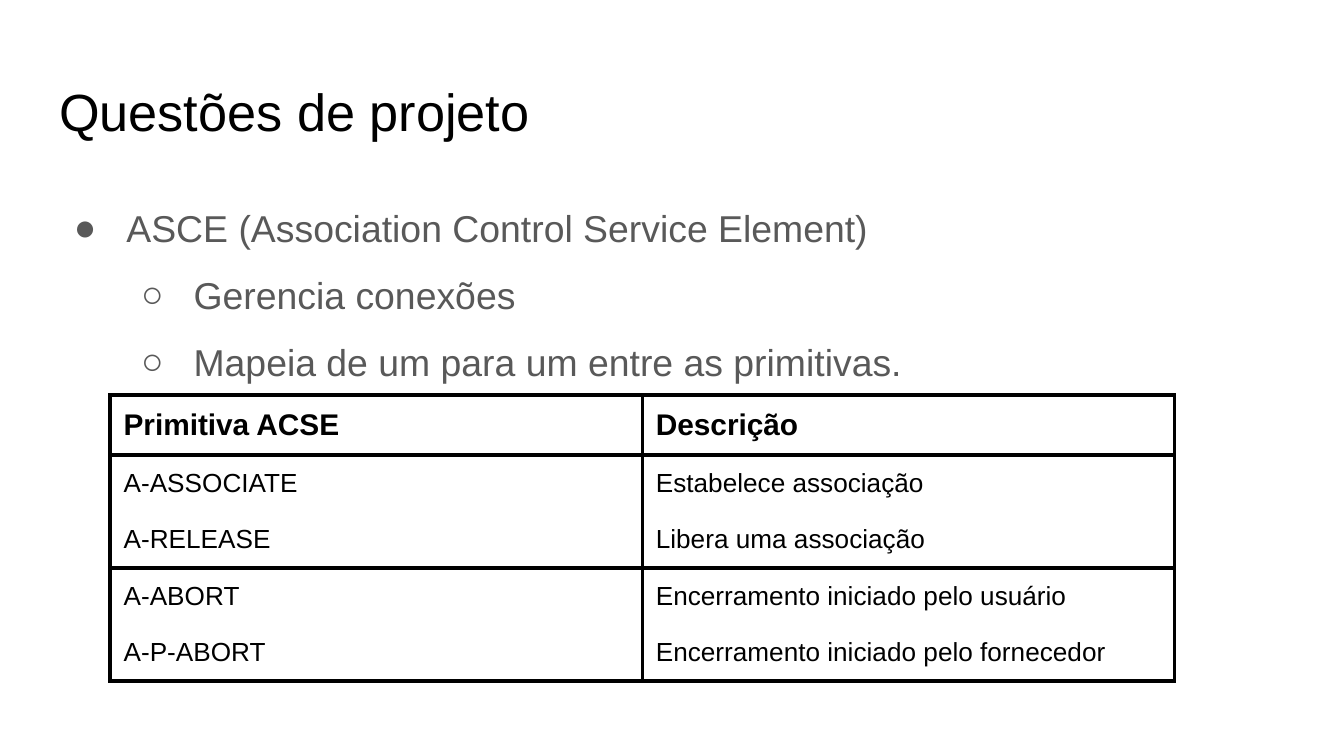
"""Build the slide on ACSE design questions."""
import dataclasses

import lxml.etree
import pptx
import pptx.dml.color
import pptx.enum.text
import pptx.oxml.ns
import pptx.util

Inches = pptx.util.Inches
Pt = pptx.util.Pt
qn = pptx.oxml.ns.qn


@dataclasses.dataclass(frozen=True)
class Theme:
    """Colours, type sizes and line widths of the slide."""
    font: str = "Arial"
    ink: str = "000000"
    muted: str = "595959"
    paper: str = "FFFFFF"
    title_size: float = 28
    body_size: float = 20
    header_size: float = 16
    cell_size: float = 14
    border: float = 2.25
    inset: float = 0.1


THEME = Theme()

TOPICS = [
    (0, "ASCE (Association Control Service Element)"),
    (1, "Gerencia conexões"),
    (1, "Mapeia de um para um entre as primitivas."),
]
BULLETS = "●○"

PRIMITIVES = [
    ("Primitiva ACSE", "Descrição"),
    ("A-ASSOCIATE", "Estabelece associação"),
    ("A-RELEASE", "Libera uma associação"),
    ("A-ABORT", "Encerramento iniciado pelo usuário"),
    ("A-P-ABORT", "Encerramento iniciado pelo fornecedor"),
]
RULED_BELOW = {0, 2, 4}


def style(paragraph, size, color, bold=False):
    """Set the font of a whole paragraph."""
    font = paragraph.font
    font.name, font.size, font.bold = THEME.font, Pt(size), bold
    font.color.rgb = pptx.dml.color.RGBColor.from_string(color)


def set_insets(holder):
    """Give a text frame or cell equal margins and top anchoring."""
    holder.margin_left = holder.margin_right = Inches(THEME.inset)
    holder.margin_top = holder.margin_bottom = Inches(THEME.inset)
    holder.vertical_anchor = pptx.enum.text.MSO_ANCHOR.TOP


def place(placeholder, box):
    """Move a placeholder into its box and return its text frame."""
    placeholder.left, placeholder.top, placeholder.width, placeholder.height = map(Inches, box)
    frame = placeholder.text_frame
    frame.word_wrap = True
    frame.auto_size = pptx.enum.text.MSO_AUTO_SIZE.NONE
    set_insets(frame)
    return frame


def add_title(slide, box, text):
    """Fill the title placeholder."""
    frame = place(slide.shapes.title, box)
    frame.text = text
    heading = frame.paragraphs[0]
    heading.alignment = pptx.enum.text.PP_ALIGN.LEFT
    style(heading, THEME.title_size, THEME.ink)


def add_bullet(paragraph, level):
    """Give a paragraph the hanging bullet of its level."""
    properties = paragraph._p.get_or_add_pPr()
    properties.set("marL", str(Inches(0.5 * (level + 1))))
    properties.set("indent", str(Inches(-0.39)))
    color = lxml.etree.SubElement(properties, qn("a:buClr"))
    lxml.etree.SubElement(color, qn("a:srgbClr"), val=THEME.muted)
    lxml.etree.SubElement(properties, qn("a:buFont"), typeface=THEME.font)
    lxml.etree.SubElement(properties, qn("a:buChar"), char=BULLETS[level])


def add_topics(slide, box, topics):
    """Fill the body placeholder with the two-level list."""
    frame = place(slide.placeholders[1], box)
    frame.text = "\n".join(text for _, text in topics)
    for topic, (level, _) in zip(frame.paragraphs, topics):
        topic.level = level
        topic.line_spacing = 1.5
        topic.space_before = topic.space_after = Pt(0)
        add_bullet(topic, level)
        style(topic, THEME.body_size, THEME.muted)


def set_borders(cell, top, bottom):
    """Rule both sides of a cell, and its top and bottom where asked."""
    properties = cell._tc.get_or_add_tcPr()
    edges = {"a:lnL": True, "a:lnR": True, "a:lnT": top, "a:lnB": bottom}
    for position, (tag, ruled) in enumerate(edges.items()):
        line = lxml.etree.Element(qn(tag), w=str(Pt(THEME.border)))
        if ruled:
            fill = lxml.etree.SubElement(line, qn("a:solidFill"))
            lxml.etree.SubElement(fill, qn("a:srgbClr"), val=THEME.ink)
        else:
            lxml.etree.SubElement(line, qn("a:noFill"))
        properties.insert(position, line)


def add_primitives(slide, box, rows):
    """Add the table of primitives with pairs of rows ruled together."""
    table = slide.shapes.add_table(len(rows), len(rows[0]), *map(Inches, box)).table
    table.horz_banding = False
    for row, texts in enumerate(rows):
        header = row == 0
        for column, text in enumerate(texts):
            cell = table.cell(row, column)
            cell.text = text
            set_insets(cell)
            cell.fill.background()
            set_borders(cell, header or row - 1 in RULED_BELOW, row in RULED_BELOW)
            size = THEME.header_size if header else THEME.cell_size
            style(cell.text_frame.paragraphs[0], size, THEME.ink, header)


def main():
    """Build and save the presentation."""
    deck = pptx.Presentation()
    deck.slide_width = Inches(10)
    deck.slide_height = deck.slide_width * 9 // 16
    slide = deck.slides.add_slide(deck.slide_layouts[1])
    background = slide.background.fill
    background.solid()
    background.fore_color.rgb = pptx.dml.color.RGBColor.from_string(THEME.paper)
    add_title(slide, (0.34, 0.49, 9.32, 0.63), "Questões de projeto")
    add_topics(slide, (0.34, 1.26, 9.11, 1.74), TOPICS)
    add_primitives(slide, (0.82, 2.94, 7.92, 2.1), PRIMITIVES)
    deck.save("out.pptx")


if __name__ == "__main__":
    main()
